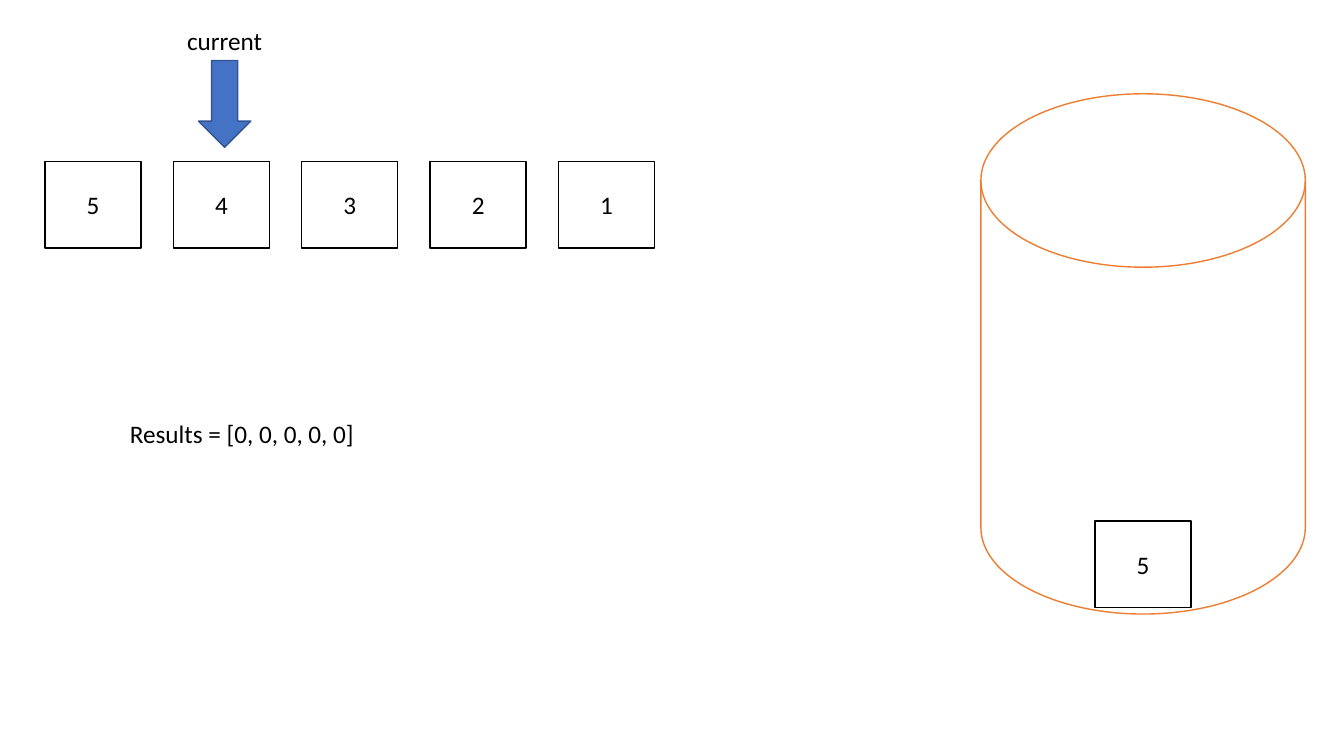
import pptx
import pptx.util
import pptx.dml.color
import pptx.enum.shapes
import pptx.enum.text

Pt = pptx.util.Pt
SHAPES = pptx.enum.shapes.MSO_SHAPE
ALIGN = pptx.enum.text.PP_ALIGN
COLORS = {"white": "FFFFFF", "black": "000000", "blue": "4472C4",
          "dark_blue": "325491", "orange": "ED7D31"}
CELL_WIDTH, CELL_HEIGHT = 68.6, 62


def color(name):
    """Return the named colour as an RGB value."""
    return pptx.dml.color.RGBColor.from_string(COLORS[name])


def write(shape, text, alignment):
    """Put one paragraph of body text into a shape."""
    paragraph = shape.text_frame.paragraphs[0]
    paragraph.text = text
    paragraph.alignment = alignment
    paragraph.font.name = "Calibri"
    paragraph.font.size = Pt(18)
    paragraph.font.color.rgb = color("black")


def add_outlined(slide, kind, left, top, width, height, fill, line):
    """Add a filled preset shape with a thin outline and no shadow."""
    shape = slide.shapes.add_shape(kind, Pt(left), Pt(top), Pt(width), Pt(height))
    shape.shadow.inherit = False
    shape.fill.solid()
    shape.fill.fore_color.rgb = color(fill)
    shape.line.color.rgb = color(line)
    shape.line.width = Pt(1)
    return shape


def add_cell(slide, left, top, value):
    """Add one numbered cell."""
    cell = add_outlined(slide, SHAPES.RECTANGLE, left, top,
                        CELL_WIDTH, CELL_HEIGHT, "white", "black")
    cell.text_frame.vertical_anchor = pptx.enum.text.MSO_ANCHOR.MIDDLE
    write(cell, str(value), ALIGN.CENTER)


def add_label(slide, left, top, width, text, alignment):
    """Add a one-line text box that grows with its text."""
    label = slide.shapes.add_textbox(Pt(left), Pt(top), Pt(width), Pt(29))
    label.text_frame.word_wrap = True
    label.text_frame.auto_size = pptx.enum.text.MSO_AUTO_SIZE.SHAPE_TO_FIT_TEXT
    write(label, text, alignment)


def add_input_row(slide, left, top, width, values, current):
    """Spread the cells over the width and point at the current one."""
    pitch = (width - CELL_WIDTH) / (len(values) - 1)
    for index, value in enumerate(values):
        add_cell(slide, left + index * pitch, top, value)
    pointer_center = left + current * pitch + CELL_WIDTH / 2 + 2.3
    arrow_width, label_width = 37.4, 73.4
    add_outlined(slide, SHAPES.DOWN_ARROW, pointer_center - arrow_width / 2, top - 72,
                 arrow_width, 62, "blue", "dark_blue")
    add_label(slide, pointer_center - label_width / 2, top - 100.8,
              label_width, "current", ALIGN.CENTER)


def add_stack(slide, left, top, width, height, values):
    """Draw the stack as a cylinder with its values piled from the bottom."""
    add_outlined(slide, SHAPES.FLOWCHART_MAGNETIC_DISK, left, top, width, height,
                 "white", "orange")
    for level, value in enumerate(values, start=1):
        add_cell(slide, left + (width - CELL_WIDTH) / 2,
                 top + height - 4.5 - level * CELL_HEIGHT, value)


def build_stack_slide(presentation):
    """Build the slide with the input row, the stack and the results."""
    slide = presentation.slides.add_slide(presentation.slide_layouts[6])
    add_input_row(slide, 32.2, 115.2, 435.4, [5, 4, 3, 2, 1], current=1)
    add_stack(slide, 700.6, 67, 231.8, 371.6, [5])
    add_label(slide, 85.7, 295.2, 290, "Results = [0, 0, 0, 0, 0]", ALIGN.LEFT)


presentation = pptx.Presentation()
presentation.slide_width = Pt(960)
presentation.slide_height = Pt(540)
build_stack_slide(presentation)
presentation.save("out.pptx")
